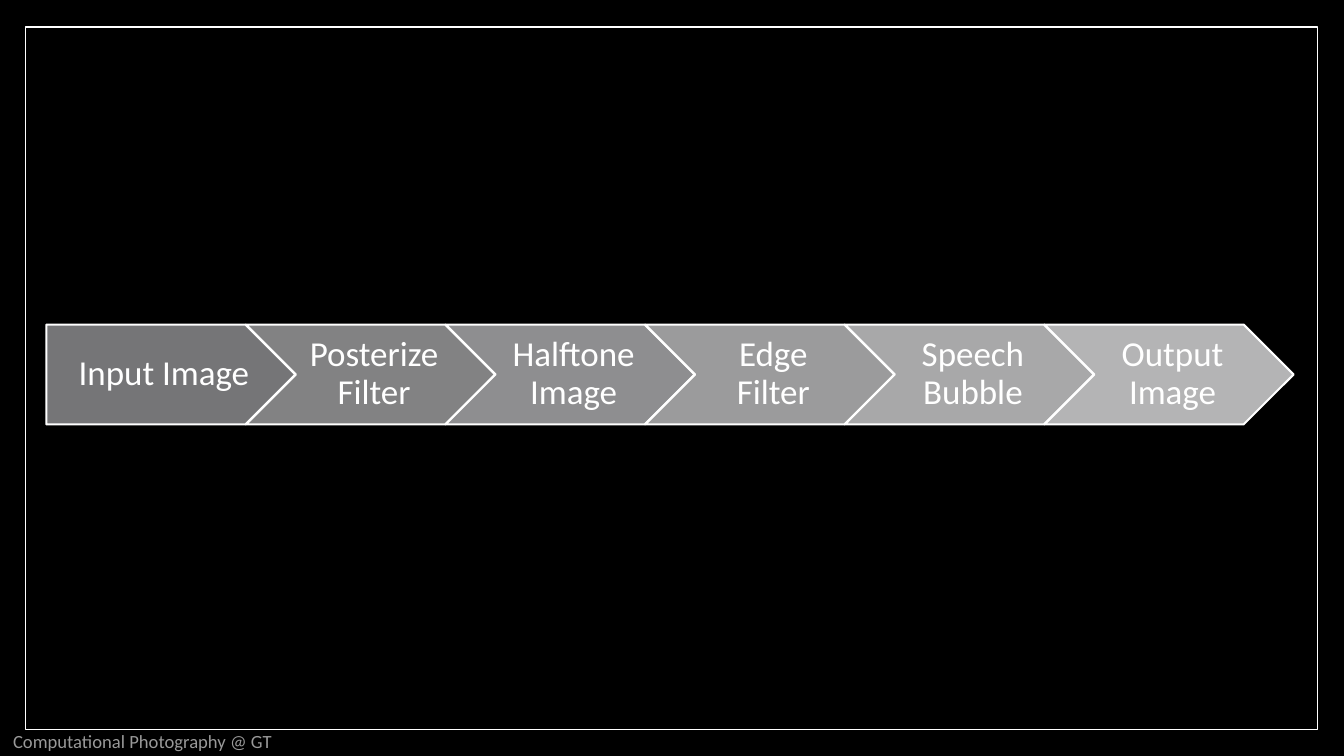
from pptx import Presentation
from pptx.dml.color import RGBColor
from pptx.enum.shapes import MSO_SHAPE
from pptx.enum.text import MSO_ANCHOR, PP_ALIGN
from pptx.util import Inches, Pt

STEPS = [
    ("Input Image", "757577"),
    ("Posterize Filter", "828283"),
    ("Halftone Image", "8E8E90"),
    ("Edge Filter", "9B9B9C"),
    ("Speech Bubble", "A8A8A9"),
    ("Output Image", "B4B4B5"),
]
STEP_LEFT, STEP_TOP = 0.46, 3.22
STEP_WIDTH, STEP_HEIGHT = 2.47, 0.99
STEP_PITCH = 1.98


def color(value):
    return RGBColor.from_string(value)


def add_outlined(page, preset, bounds, fill, line_width):
    shape = page.shapes.add_shape(preset, *map(Inches, bounds))
    shape.shadow.inherit = False
    shape.fill.solid()
    shape.fill.fore_color.rgb = color(fill)
    shape.line.color.rgb = color("FFFFFF")
    shape.line.width = Pt(line_width)
    return shape


def write_text(shape, text, size, text_color, insets, align):
    frame = shape.text_frame
    frame.word_wrap = True
    frame.vertical_anchor = MSO_ANCHOR.MIDDLE
    (frame.margin_left, frame.margin_top,
     frame.margin_right, frame.margin_bottom) = map(Inches, insets)
    para = frame.paragraphs[0]
    para.alignment = align
    span = para.add_run()
    span.text = text
    span.font.name = "Calibri"
    span.font.size = Pt(size)
    span.font.color.rgb = color(text_color)
    return para


def add_step(page, index, label, fill):
    """Add one arrow of the process; the first has a flat left end."""
    first = index == 0
    preset = MSO_SHAPE.PENTAGON if first else MSO_SHAPE.CHEVRON
    left = STEP_LEFT + index * STEP_PITCH
    arrow = add_outlined(page, preset, (left, STEP_TOP, STEP_WIDTH, STEP_HEIGHT), fill, 1.5)
    insets = (0.15 if first else 0.11, 0.07, 0.04, 0.07)
    para = write_text(arrow, label, 25, "FFFFFF", insets, PP_ALIGN.CENTER)
    para.line_spacing = 0.9


def add_footer(page, text):
    box = page.shapes.add_textbox(Inches(0), Inches(7.21), Inches(3.74), Inches(0.29))
    write_text(box, text, 13.3, "999999", (0.13,) * 4, PP_ALIGN.LEFT)


def main():
    deck = Presentation()
    deck.slide_width, deck.slide_height = Inches(13.33), Inches(7.5)
    page = deck.slides.add_slide(deck.slide_layouts[6])
    page.background.fill.solid()
    page.background.fill.fore_color.rgb = color("000000")

    add_outlined(page, MSO_SHAPE.RECTANGLE, (0.25, 0.27, 12.82, 6.97), "000000", 1)
    for index, (label, fill) in enumerate(STEPS):
        add_step(page, index, label, fill)
    add_footer(page, "Computational Photography @ GT")
    deck.save("out.pptx")


if __name__ == "__main__":
    main()
